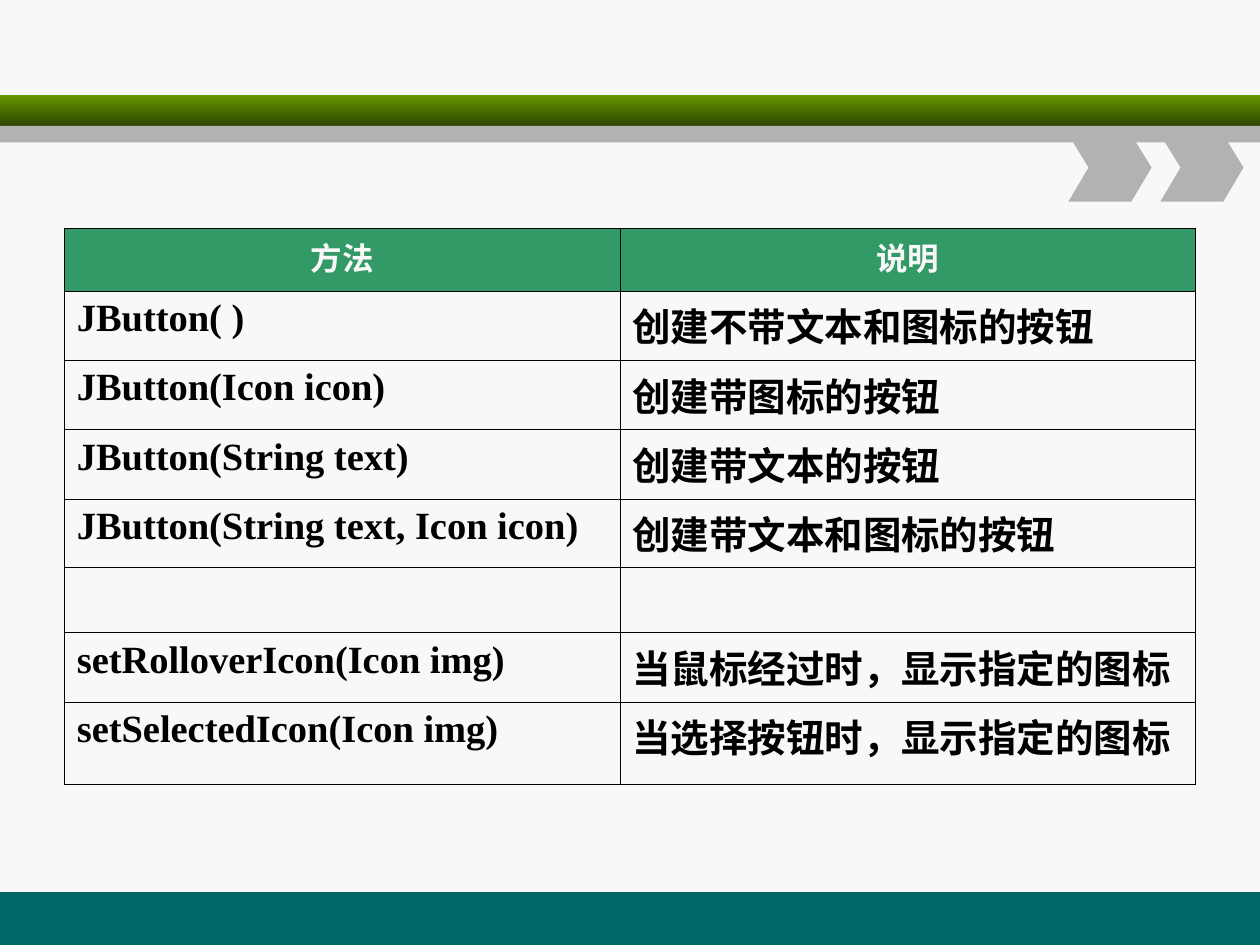
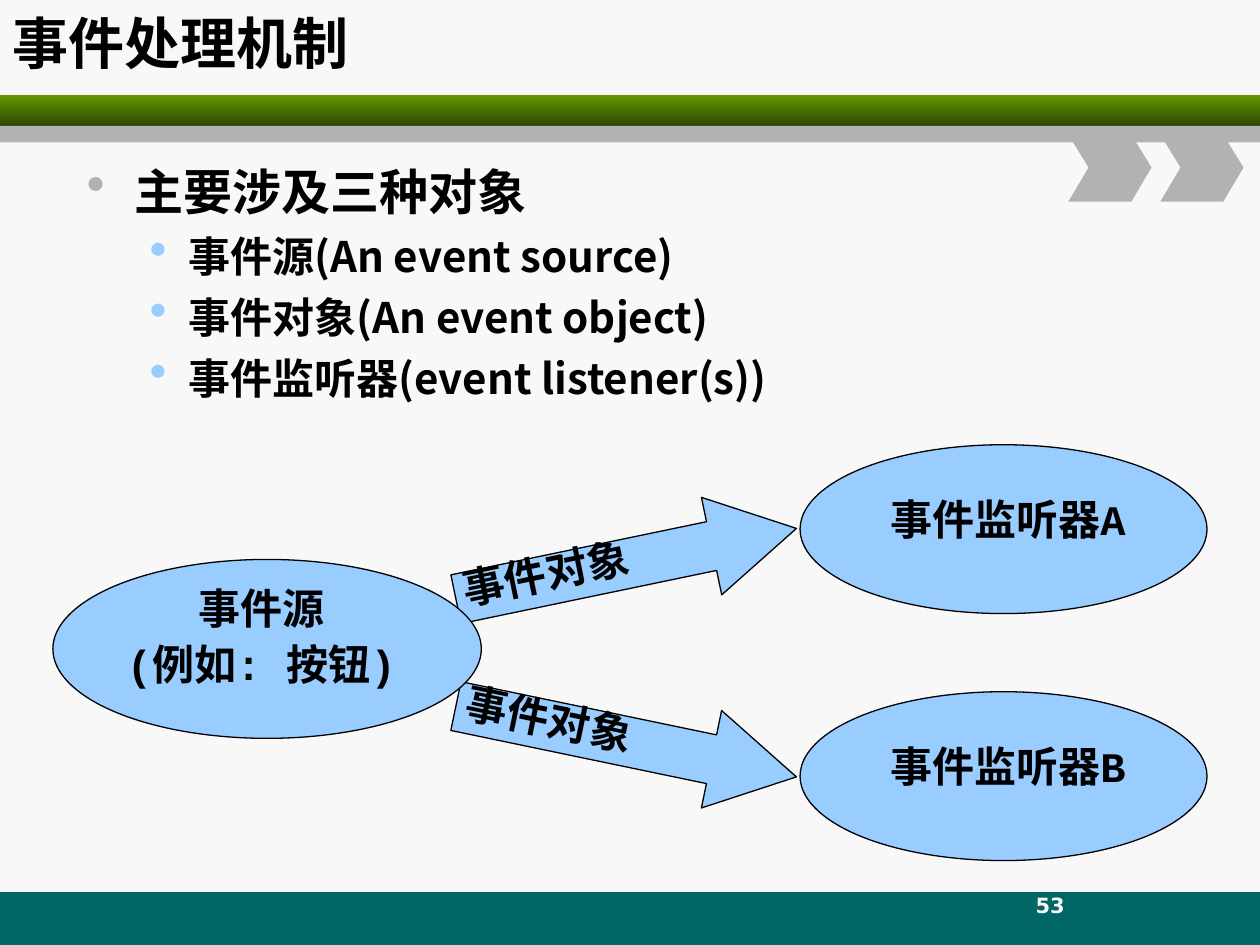
from lxml import etree
from pptx import Presentation
from pptx.dml.color import RGBColor as RGB
from pptx.enum.shapes import MSO_SHAPE as Shape
from pptx.enum.text import MSO_ANCHOR as Anchor, MSO_AUTO_SIZE as Fit, PP_ALIGN as Align
from pptx.oxml.ns import qn
from pptx.util import Inches, Pt

PAPER = RGB(0xF8, 0xF8, 0xF8)
INK = RGB(0, 0, 0)
TEAL = RGB(0, 0x66, 0x66)
LIME = RGB(0x66, 0x99, 0)
MOSS = RGB(0x2F, 0x47, 0)
GRAY = RGB(0xB2, 0xB2, 0xB2)
JADE = RGB(0x33, 0x99, 0x66)
SKY = RGB(0x99, 0xCC, 0xFF)
SANS, CJK, SERIF, MONO = "DejaVu Sans", "Noto Sans CJK SC", "Times New Roman", "Courier New"
TILT = 11.75

METHODS = [
    ("方法", "说明"),
    ("JButton( )", "创建不带文本和图标的按钮"),
    ("JButton(Icon icon)", "创建带图标的按钮"),
    ("JButton(String text)", "创建带文本的按钮"),
    ("JButton(String text, Icon icon)", "创建带文本和图标的按钮"),
    ("", ""),
    ("setRolloverIcon(Icon img)", "当鼠标经过时，显示指定的图标"),
    ("setSelectedIcon(Icon img)", "当选择按钮时，显示指定的图标"),
]
COLS = [4.41, 4.57]
ROWS = [0.5, 0.55, 0.55, 0.55, 0.54, 0.52, 0.55, 0.65]
ROLES = ["事件源(An event source)", "事件对象(An event object)", "事件监听器(event listener(s))"]


def inches(*sizes):
    """Turn numbers into lengths."""
    return [Inches(size) for size in sizes]


def style(para, size, name, color=INK, align=None):
    """Set the bold font and the alignment of a paragraph."""
    font = para.font
    font.size, font.name, font.bold = Pt(size), name, True
    font.color.rgb = color
    para.alignment = align


def paint(shape, fill, line=None):
    """Give a shape a flat fill and an optional thin outline."""
    shape.shadow.inherit = False
    shape.fill.solid()
    shape.fill.fore_color.rgb = fill
    if line is None:
        shape.line.fill.background()
    else:
        shape.line.color.rgb = line
        shape.line.width = Pt(0.75)


def add_form(slide, kind, box, fill, line=None):
    """Add a painted preset shape."""
    shape = slide.shapes.add_shape(kind, *inches(*box))
    paint(shape, fill, line)
    return shape


def add_chevron(slide, left):
    """Add one notched arrow under the band."""
    top, mid, end = 1.07, 1.33, 1.6
    pen = slide.shapes.build_freeform(Inches(left), Inches(top))
    points = [(0.5, top), (0.66, mid), (0.5, end), (0, end), (0.16, mid)]
    pen.add_line_segments([inches(left + x, y) for x, y in points])
    paint(pen.convert_to_shape(), GRAY)


def add_frame(slide):
    """Add the bands and chevrons that every slide shares."""
    add_form(slide, Shape.RECTANGLE, (0, 7.08, 10, 0.42), TEAL)
    band = add_form(slide, Shape.RECTANGLE, (0, 0.75, 10, 0.25), LIME)
    band.fill.gradient()
    band.fill.gradient_angle = 270
    for stop, color in zip(band.fill.gradient_stops, (LIME, MOSS)):
        stop.color.rgb = color
    add_form(slide, Shape.RECTANGLE, (0, 1, 10, 0.13), GRAY)
    for left in (8.48, 9.21):
        add_chevron(slide, left)


def add_label(slide, box, *lines, turn=0):
    """Add centred diagram text without insets."""
    shape = slide.shapes.add_textbox(*inches(*box))
    shape.rotation = turn
    frame = shape.text_frame
    frame.margin_left = frame.margin_right = frame.margin_top = frame.margin_bottom = 0
    frame.word_wrap = len(lines) > 1
    frame.vertical_anchor = Anchor.MIDDLE
    frame.text = "\n".join(lines)
    for para in frame.paragraphs:
        style(para, 24, MONO, align=Align.CENTER)
    for para in frame.paragraphs[1:]:
        para.line_spacing, para.space_before = 0.6, Pt(13)


def add_bullet(para, color, scale, indent, hang):
    """Add a coloured round bullet with a hanging indent."""
    props = para._p.get_or_add_pPr()
    props.set("marL", str(Inches(indent)))
    props.set("indent", str(-Inches(hang)))
    tint = etree.SubElement(props, qn("a:buClr"))
    etree.SubElement(tint, qn("a:srgbClr"), val=str(color))
    etree.SubElement(props, qn("a:buSzPct"), val=str(scale * 1000))
    etree.SubElement(props, qn("a:buChar"), char="•")


def add_body(slide, head, items):
    """Add the main point and its sub-points."""
    frame = slide.shapes.add_textbox(*inches(0.59, 1.23, 8.5, 5.5)).text_frame
    frame.word_wrap = True
    frame.text = "\n".join([head, *items])
    first, *rest = frame.paragraphs
    add_bullet(first, GRAY, 110, 0.38, 0.38)
    style(first, 28, CJK)
    for para in rest:
        para.level = 1
        add_bullet(para, SKY, 120, 0.81, 0.31)
        style(para, 24, CJK)
        para.space_before = Pt(6)


def add_edges(cell):
    """Draw thin black borders around a cell."""
    props = cell._tc.get_or_add_tcPr()
    for index, side in enumerate(("lnL", "lnR", "lnT", "lnB")):
        edge = etree.Element(qn(f"a:{side}"), w=str(Pt(0.45)))
        fill = etree.SubElement(edge, qn("a:solidFill"))
        etree.SubElement(fill, qn("a:srgbClr"), val=str(INK))
        props.insert(index, edge)


def add_grid(slide):
    """Add the table of button methods."""
    box = inches(0.51, 1.81, sum(COLS), sum(ROWS))
    table = slide.shapes.add_table(len(ROWS), len(COLS), *box).table
    for col, width in zip(table.columns, COLS):
        col.width = Inches(width)
    for i, (row, height) in enumerate(zip(table.rows, ROWS)):
        row.height = Inches(height)
        for cell, text in zip(row.cells, METHODS[i]):
            cell.text = text
            cell.fill.solid()
            cell.fill.fore_color.rgb = PAPER if i else JADE
            add_edges(cell)
            para = cell.text_frame.paragraphs[0]
            if i:
                style(para, 22, SERIF, align=Align.JUSTIFY)
            else:
                style(para, 18, SERIF, PAPER, Align.CENTER)


def add_title(slide, text):
    """Place and format the title."""
    title = slide.shapes.title
    title.left, title.top, title.width, title.height = inches(0, 0, 8.5, 0.67)
    frame = title.text_frame
    frame.text = text
    frame.auto_size = Fit.NONE
    frame.vertical_anchor = Anchor.MIDDLE
    style(frame.paragraphs[0], 32, SANS, align=Align.LEFT)


def add_number(slide, number):
    """Add the page number on the bottom band."""
    frame = slide.shapes.add_textbox(*inches(7.17, 6.83, 2.33, 0.5)).text_frame
    frame.word_wrap = True
    frame.vertical_anchor = Anchor.BOTTOM
    frame.text = number
    style(frame.paragraphs[0], 12, SANS, PAPER, Align.CENTER)


def add_flow(slide):
    """Draw the event source, its two arrows and the listeners."""
    for name, top in (("A", 3.53), ("B", 5.49)):
        add_form(slide, Shape.OVAL, (6.35, top, 3.23, 1.34), SKY, INK)
        add_label(slide, (7.01, top + 0.39, 1.98, 0.4), f"事件监听器{name}")
    for top, turn, left, drop in ((4.08, -TILT, 3.58, 0.26), (5.49, TILT, 3.61, 0.01)):
        arrow = add_form(slide, Shape.RIGHT_ARROW, (3.59, top, 2.76, 0.79), SKY, INK)
        arrow.adjustments[1] = 0.87
        arrow.rotation = turn
        add_label(slide, (left, top + drop, 1.5, 0.4), "事件对象", turn=turn)
    add_form(slide, Shape.OVAL, (0.42, 4.44, 3.4, 1.42), SKY, INK)
    add_label(slide, (0.56, 4.69, 3.03, 0.69), "事件源", "(例如: 按钮)")


def main():
    """Build and save both slides."""
    deck = Presentation()
    deck.slide_width, deck.slide_height = inches(10, 7.5)
    back = deck.slide_master.background.fill
    back.solid()
    back.fore_color.rgb = PAPER
    plain, titled = deck.slide_layouts[6], deck.slide_layouts[5]

    slide = deck.slides.add_slide(plain)
    add_frame(slide)
    add_grid(slide)

    slide = deck.slides.add_slide(titled)
    add_frame(slide)
    add_number(slide, "53")
    add_title(slide, "事件处理机制")
    add_body(slide, "主要涉及三种对象", ROLES)
    add_flow(slide)
    deck.save("out.pptx")


if __name__ == "__main__":
    main()
